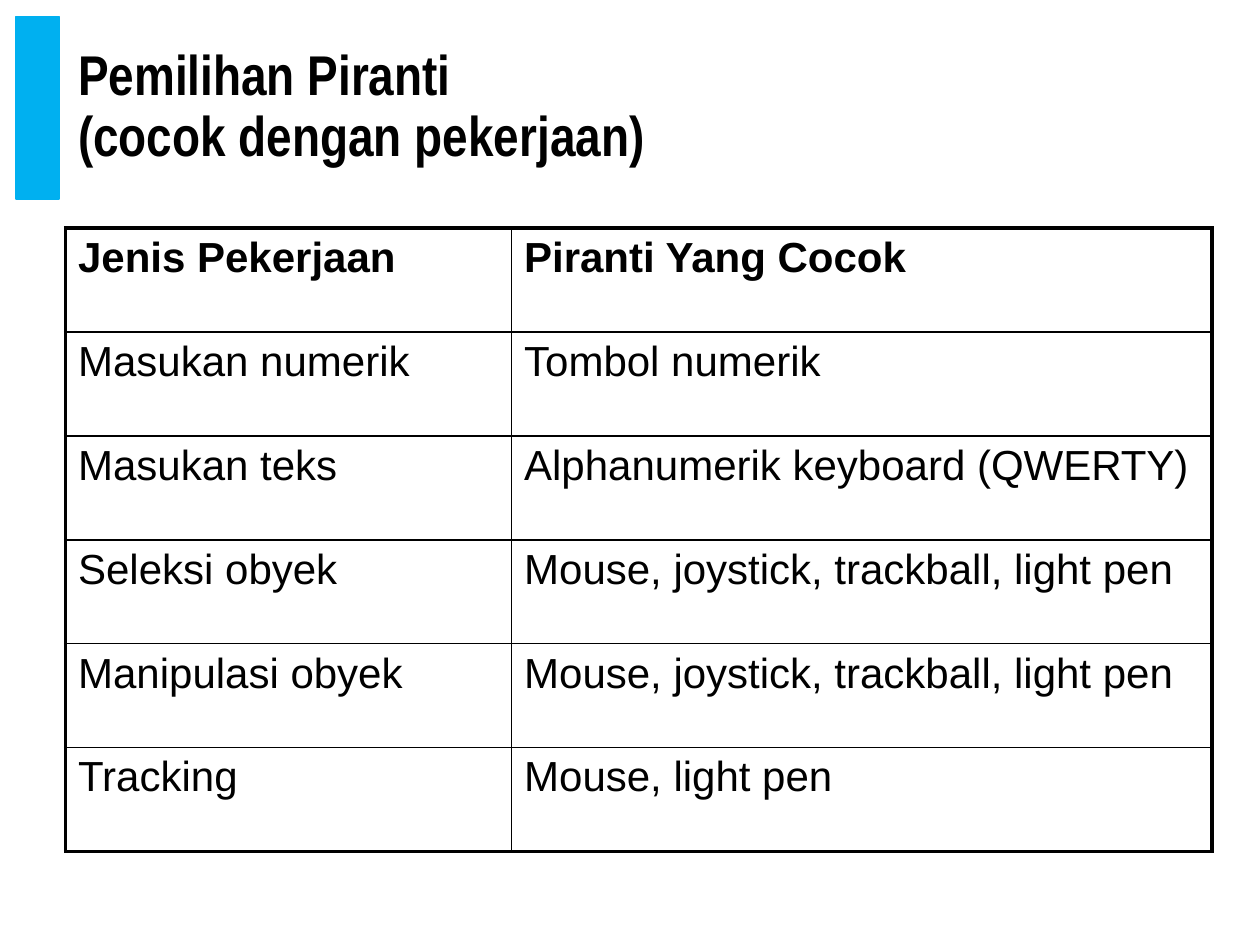
from lxml.etree import SubElement as Sub
from pptx import Presentation
from pptx.dml.color import RGBColor as RGB
from pptx.enum.shapes import MSO_SHAPE as Shape
from pptx.enum.text import MSO_ANCHOR as Anchor, MSO_AUTO_SIZE as Fit, PP_ALIGN as Align
from pptx.oxml.ns import qn
from pptx.util import Inches, Pt

COLORS = {"text": "000000", "bar": "00B0F0", "rule": "000000"}


def write(frame, text, size=24, font="Arial", bold=False, spacing=1.0):
    frame.text = text
    para = frame.paragraphs[0]
    para.alignment = Align.LEFT
    para.line_spacing = spacing
    for run in para.runs:
        run.font.size = Pt(size)
        run.font.name = font
        run.font.bold = bold
        run.font.color.rgb = RGB.from_string(COLORS["text"])


def border(cell, side, width):
    line = Sub(cell._tc.get_or_add_tcPr(), qn(f"a:ln{side}"), w=str(Pt(width)))
    fill = Sub(line, qn("a:solidFill"))
    Sub(fill, qn("a:srgbClr"), val=COLORS["rule"])


deck = Presentation()
deck.slide_width, deck.slide_height = Inches(10), Inches(7.5)
slide = deck.slides.add_slide(deck.slide_layouts[5])

bar = slide.shapes.add_shape(
    Shape.RECTANGLE, Inches(0.13), Inches(0.13), Inches(0.34), Inches(1.45))
bar.shadow.inherit = False
bar.fill.solid()
bar.fill.fore_color.rgb = RGB.from_string(COLORS["bar"])
bar.line.color.rgb = RGB.from_string(COLORS["bar"])
bar.line.width = Pt(1)

title = slide.shapes.title
title.left, title.top = Inches(0.52), Inches(0.13)
title.width, title.height = Inches(9.1), Inches(1.45)
frame = title.text_frame
frame.auto_size = Fit.NONE
frame.word_wrap = True
frame.vertical_anchor = Anchor.MIDDLE
write(frame, "Pemilihan Piranti \v(cocok dengan pekerjaan)",
      size=32, font="Arial Narrow", bold=True, spacing=0.9)

rows = [
    ("Jenis Pekerjaan", "Piranti Yang Cocok"),
    ("Masukan numerik", "Tombol numerik"),
    ("Masukan teks", "Alphanumerik keyboard (QWERTY)"),
    ("Seleksi obyek", "Mouse, joystick, trackball, light pen"),
    ("Manipulasi obyek", "Mouse, joystick, trackball, light pen"),
    ("Tracking", "Mouse, light pen"),
]
widths = [3.54, 5.56]
last = len(rows) - 1
table = slide.shapes.add_table(
    len(rows), len(widths), Inches(0.52), Inches(1.81), Inches(9.1), Inches(4.95)).table
table.horz_banding = False
for col, width in zip(table.columns, widths):
    col.width = Inches(width)

for r, row in enumerate(rows):
    for c, text in enumerate(row):
        cell = table.cell(r, c)
        write(cell.text_frame, text, bold=r == 0)
        edges = {"L": c == 0, "R": c == 1, "T": r == 0, "B": r == last}
        for side, outer in edges.items():
            border(cell, side, 2.25 if outer else 1)
        cell.fill.background()

deck.save("out.pptx")
